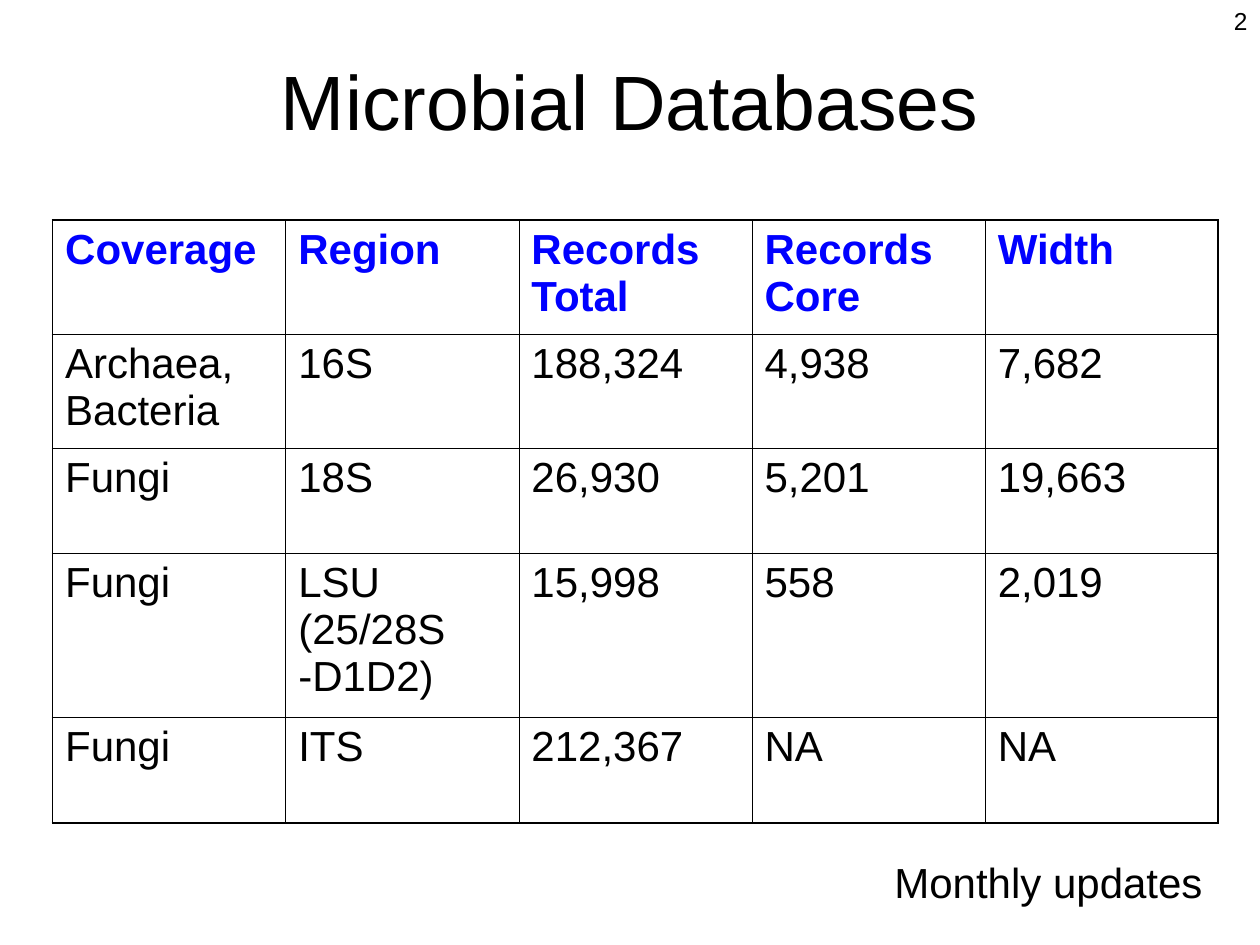
"""Build the Microbial Databases slide with its table of database sizes."""
from lxml import etree
from pptx import Presentation
from pptx import util as u
from pptx.dml.color import RGBColor
from pptx.enum import text
from pptx.oxml import ns

TITLE = "Microbial Databases"
PAGE_NUMBER = "2"
FOOTNOTE = "Monthly updates"
ROWS = [
    ("Coverage", "Region", "Records Total", "Records Core", "Width"),
    ("Archaea, Bacteria", "16S", "188,324", "4,938", "7,682"),
    ("Fungi", "18S", "26,930", "5,201", "19,663"),
    ("Fungi", "LSU (25/28S -D1D2)", "15,998", "558", "2,019"),
    ("Fungi", "ITS", "212,367", "NA", "NA"),
]
ROW_HEIGHTS = [2.3, 2.3, 2.12, 3.3, 2.13]
COLUMN_WIDTH = 4.7
TABLE_LEFT, TABLE_TOP = 1.06, 4.44
OUTER_LINE, INNER_LINE = 1.08, 0.45
BLACK, BLUE, WHITE = "000000", "0000FF", "FFFFFF"
HEADER = {"size": u.Pt(24), "bold": True}
BODY = {"size": u.Pt(24), "bold": False}


def color(value):
    return RGBColor.from_string(value)


def write(frame, words, style, ink=BLACK, align=text.PP_ALIGN.LEFT):
    para = frame.paragraphs[0]
    para.alignment = align
    span = para.add_run()
    span.text = words
    for name, value in {"name": "Arial", **style}.items():
        setattr(span.font, name, value)
    span.font.color.rgb = color(ink)


def add_text(page, place, words, style, align):
    box = page.shapes.add_textbox(*map(u.Cm, place))
    box.text_frame.word_wrap = True
    write(box.text_frame, words, style, align=align)


def draw_borders(cell, widths):
    properties = cell._tc.get_or_add_tcPr()
    for side, width in widths.items():
        line = etree.SubElement(properties, ns.qn(f"a:ln{side}"), w=str(u.Pt(width)))
        fill = etree.SubElement(line, ns.qn("a:solidFill"))
        etree.SubElement(fill, ns.qn("a:srgbClr"), val=BLACK)


def add_grid(page):
    last_row, last_column = len(ROWS) - 1, len(ROWS[0]) - 1
    width = COLUMN_WIDTH * len(ROWS[0])
    place = (TABLE_LEFT, TABLE_TOP, width, sum(ROW_HEIGHTS))
    table = page.shapes.add_table(len(ROWS), len(ROWS[0]), *map(u.Cm, place)).table
    table.first_row = table.horz_banding = False
    for column in table.columns:
        column.width = u.Cm(COLUMN_WIDTH)
    for r, (words, height) in enumerate(zip(ROWS, ROW_HEIGHTS)):
        table.rows[r].height = u.Cm(height)
        style, ink = (BODY, BLACK) if r else (HEADER, BLUE)
        for c, word in enumerate(words):
            cell = table.cell(r, c)
            edges = {"L": c == 0, "R": c == last_column, "T": r == 0, "B": r == last_row}
            draw_borders(cell, {side: OUTER_LINE if outer else INNER_LINE
                                for side, outer in edges.items()})
            cell.fill.solid()
            cell.fill.fore_color.rgb = color(WHITE)
            write(cell.text_frame, word, style, ink)


def main():
    deck = Presentation()
    deck.slide_width, deck.slide_height = u.Cm(25.4), u.Cm(19.05)
    page = deck.slides.add_slide(deck.slide_layouts[5])
    title = page.shapes.title
    title.left, title.top, title.width, title.height = map(u.Cm, (1.9, 0.85, 21.6, 2.33))
    title.text_frame.vertical_anchor = text.MSO_ANCHOR.MIDDLE
    write(title.text_frame, TITLE, {"size": u.Pt(44)}, align=text.PP_ALIGN.CENTER)
    add_grid(page)
    add_text(page, (17.78, 17.15, 6.9, 1.27), FOOTNOTE, BODY, text.PP_ALIGN.LEFT)
    add_text(page, (20.12, 0, 5.28, 1.27), PAGE_NUMBER, {"size": u.Pt(14)},
             text.PP_ALIGN.RIGHT)
    deck.save("out.pptx")


if __name__ == "__main__":
    main()
